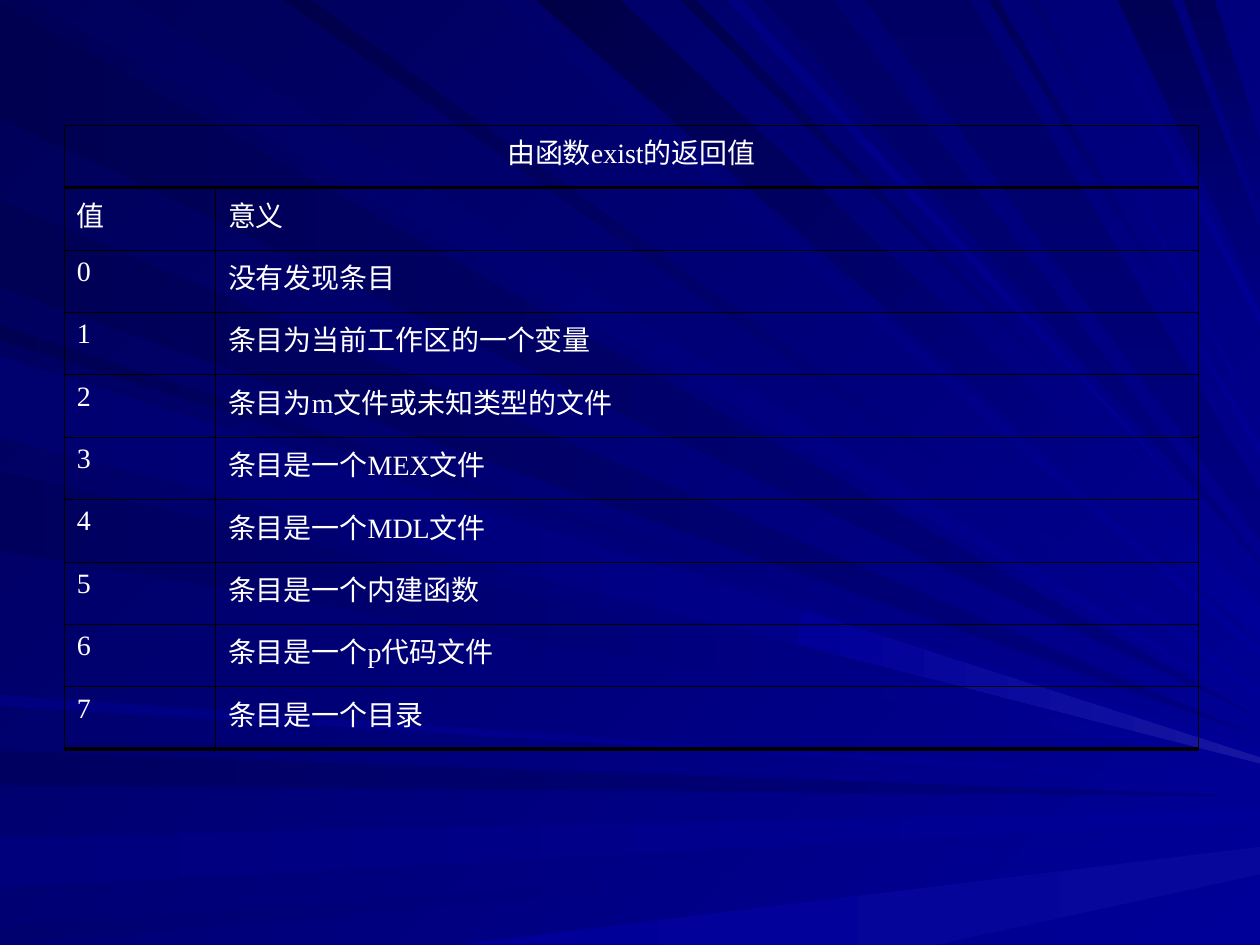
from dataclasses import dataclass

from lxml.etree import SubElement as Sub
from pptx import Presentation
from pptx.dml.color import RGBColor as Rgb
from pptx.enum.text import PP_ALIGN as Align
from pptx.oxml.ns import qn
from pptx.util import Pt


@dataclass(frozen=True)
class Theme:
    bright: str = "000099"
    mid: str = "000080"
    deep: str = "000057"
    glow: str = "1616A1"
    text: str = "FFFFFF"
    edge: str = "000000"
    font: str = "Times New Roman"
    size: float = 16
    thin: float = 0.34
    rule: float = 0.45
    thick: float = 2.5


@dataclass(frozen=True)
class Ray:
    side: str
    near: int
    far: int
    end: int
    dark: str
    spread: int = 0
    tone: str = "bright"


THEME = Theme()
UNIT = Pt(0.72)
RIGHT = 1000

RAYS = [
    Ray("left", 2, 93, 570, "000051", tone="mid"),
    Ray("top", 26, 101, 563, "00005C"),
    Ray("left", 596, 623, 632, "000060", tone="mid"),
    Ray("left", 665, 704, 647, "00007C", 4),
    Ray("left", 735, 750, 662, "00006E"),
    Ray("left", 258, 270, 589, "000053"),
    Ray("left", 159, 228, 585, "000055", tone="mid"),
    Ray("top", 398, 416, 518, "00006A", 3),
    Ray("top", 426, 492, 493, "000046", 14),
    Ray("top", 540, 552, 463, "00004E"),
    Ray("top", 606, 661, 446, "000064", tone="mid"),
    Ray("top", 887, 930, 210, "000055", 27, "mid"),
    Ray("top", 939, 964, 140, "000059", 27, "mid"),
    Ray("left", 278, 342, 599, "000060", 3),
    Ray("left", 374, 437, 606, "00005C"),
    Ray("left", 552, 560, 622, "000081"),
    Ray("top", 225, 247, 550, "00004A", 3),
    Ray("top", 577, 588, 454, "000081"),
    Ray("top", 686, 770, 409, "000064", 19, "mid"),
    Ray("top", 785, 792, 357, "000057", 3),
    Ray("top", 815, 824, 336, "00006E"),
    Ray("top", 865, 872, 253, "000078", 4),
    Ray("left", 283, 347, 604, "00006E", 3),
]

TITLE = "由函数exist的返回值"
HEAD = ("值", "意义")
MEANS = [
    "没有发现条目",
    "条目为当前工作区的一个变量",
    "条目为m文件或未知类型的文件",
    "条目是一个MEX文件",
    "条目是一个MDL文件",
    "条目是一个内建函数",
    "条目是一个p代码文件",
    "条目是一个目录",
]


def paint(fill, start, end, angle):
    fill.gradient()
    fill.gradient_angle = 360 - angle
    for stop, color in zip(fill.gradient_stops, (start, end)):
        stop.color.rgb = Rgb.from_string(color)


def draw_shard(slide, left, top, points, start, end, angle):
    pen = slide.shapes.build_freeform(*points[0], scale=UNIT)
    pen.add_line_segments(points[1:], close=True)
    shard = pen.convert_to_shape(Pt(left), Pt(top))
    shard.shadow.inherit = False
    shard.line.fill.background()
    paint(shard.fill, start, end, angle)


def draw_ray(slide, left, top, ray):
    low, high = ray.end + ray.spread, ray.end - ray.spread
    tip = [(RIGHT, high), (RIGHT, low)]
    if ray.side == "top":
        base = [(ray.near, 0), (ray.far, 0)]
        angle = 225
    else:
        base = [(0, ray.far), (0, ray.near)]
        angle = 180
    start, end = getattr(THEME, ray.tone), ray.dark
    if ray.side == "top" and ray.tone == "mid":
        start, end, angle = end, start, 90
    draw_shard(slide, left, top, base + tip, start, end, angle)


def draw_rays(slide, left, top):
    for ray in RAYS:
        draw_ray(slide, left, top, ray)
    beam = [(637, 485), (633, 511), (RIGHT, 606), (RIGHT, 601)]
    foot = [(364, 750), (742, 750), (RIGHT, 694), (RIGHT, 672)]
    draw_shard(slide, left, top, beam, THEME.glow, THEME.bright, 180)
    draw_shard(slide, left, top, foot, "07079B", THEME.bright, 180)


def set_edges(cell, above, below):
    props = cell._tc.get_or_add_tcPr()
    widths = {"L": THEME.thin, "R": THEME.thin, "T": above, "B": below}
    for side, width in widths.items():
        line = Sub(props, qn(f"a:ln{side}"), w=str(Pt(width)))
        solid = Sub(line, qn("a:solidFill"))
        Sub(solid, qn("a:srgbClr"), val=THEME.edge)
    cell.fill.background()


def set_text(cell, text, align):
    cell.text_frame.text = text
    para = cell.text_frame.paragraphs[0]
    para.alignment = align
    props = para._p.get_or_add_pPr()
    props.set("marL", str(Pt(27)))
    props.set("indent", str(Pt(-27)))
    for run in para.runs:
        run.font.name = THEME.font
        run.font.size = Pt(THEME.size)
        run.font.color.rgb = Rgb.from_string(THEME.text)


def draw_table(slide, left, top, width, height):
    rows = [(TITLE, ""), HEAD]
    rows += [(str(code), text) for code, text in enumerate(MEANS)]
    count = len(rows)
    frame = slide.shapes.add_table(count, 2, Pt(left), Pt(top), Pt(width), Pt(height))
    table = frame.table
    table.first_row = table.horz_banding = False
    first = 86.4
    table.columns[0].width = Pt(first)
    table.columns[1].width = Pt(width - first)
    table.cell(0, 0).merge(table.cell(0, 1))

    edges = [THEME.thin] * (count + 1)
    edges[1] = edges[-1] = THEME.thick
    edges[2] = THEME.rule
    for r, texts in enumerate(rows):
        for c, text in enumerate(texts):
            cell = table.cell(r, c)
            set_edges(cell, edges[r], edges[r + 1])
            if text:
                set_text(cell, text, Align.LEFT if r else Align.CENTER)


def main():
    deck = Presentation()
    deck.slide_width, deck.slide_height = Pt(720), Pt(540)
    slide = deck.slides.add_slide(deck.slide_layouts[6])
    paint(slide.background.fill, THEME.bright, THEME.deep, 225)
    draw_rays(slide, 0, 0)
    draw_table(slide, 36.75, 71.5, 648, 356.75)
    deck.save("out.pptx")


if __name__ == "__main__":
    main()
